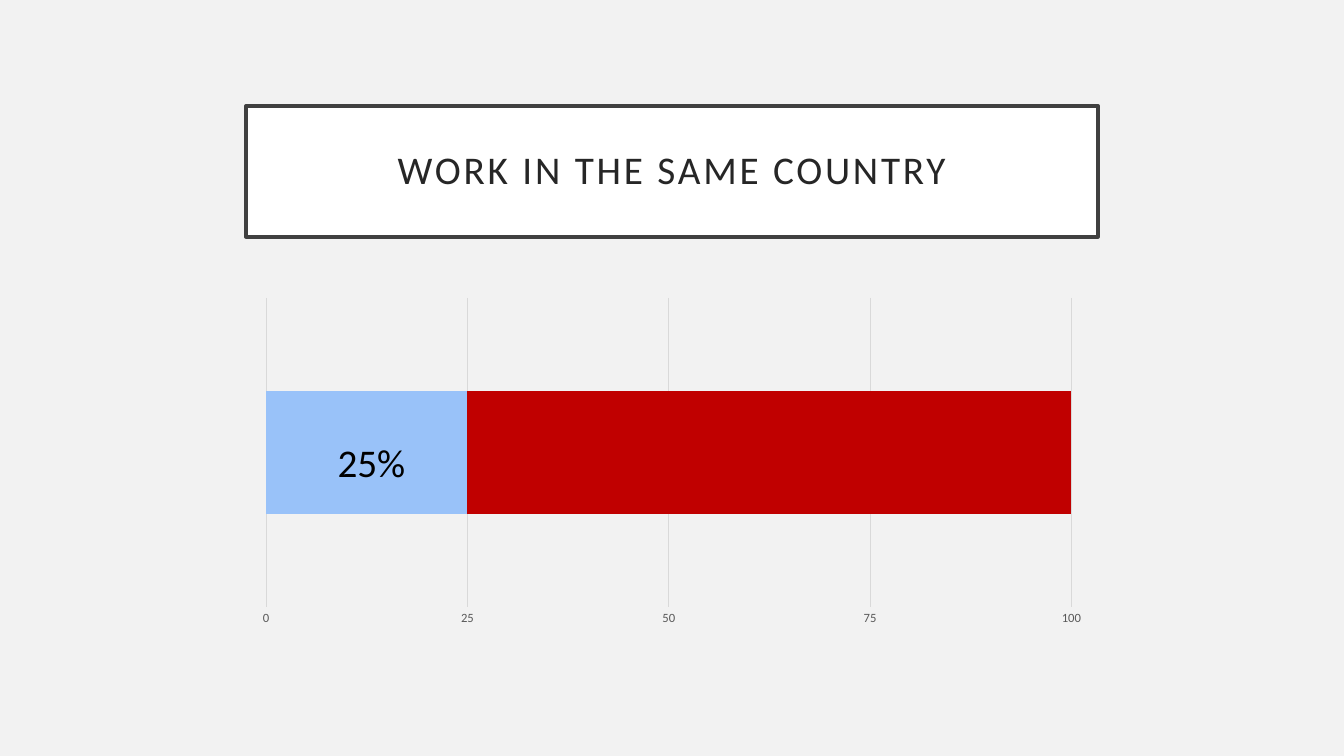
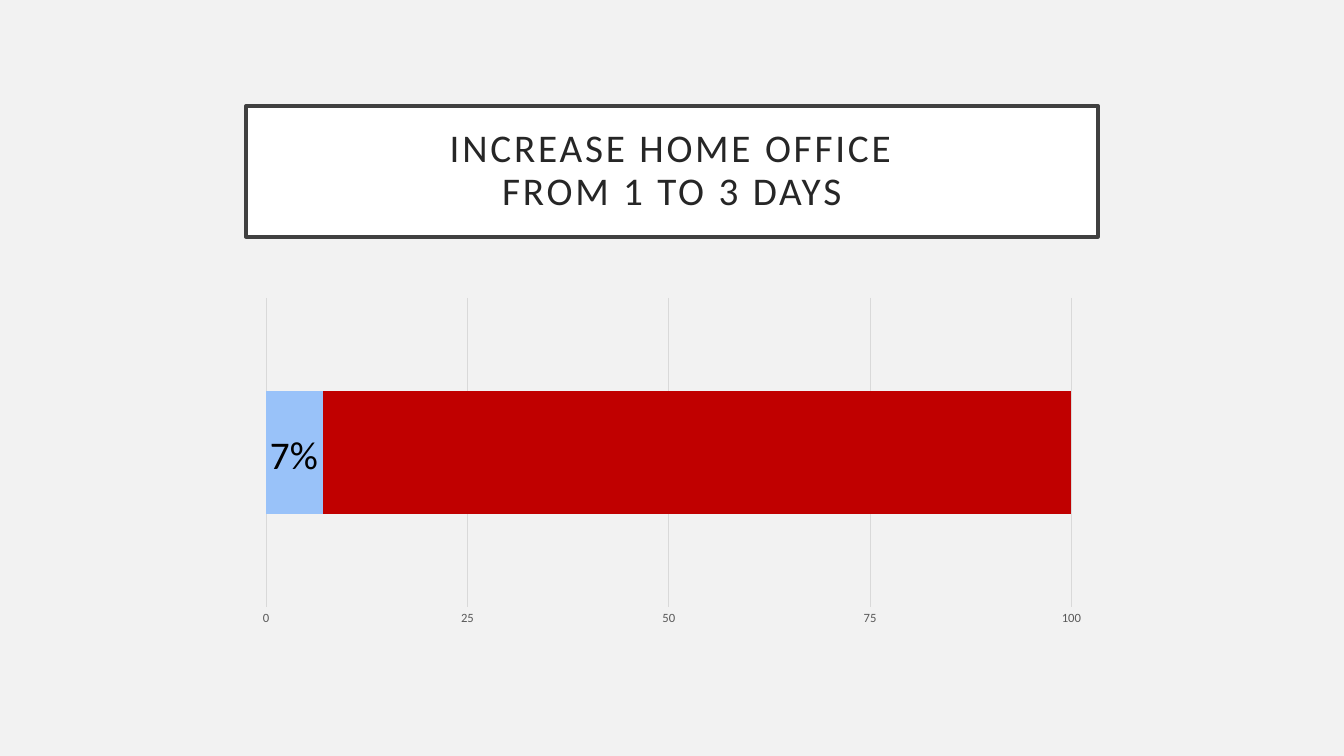
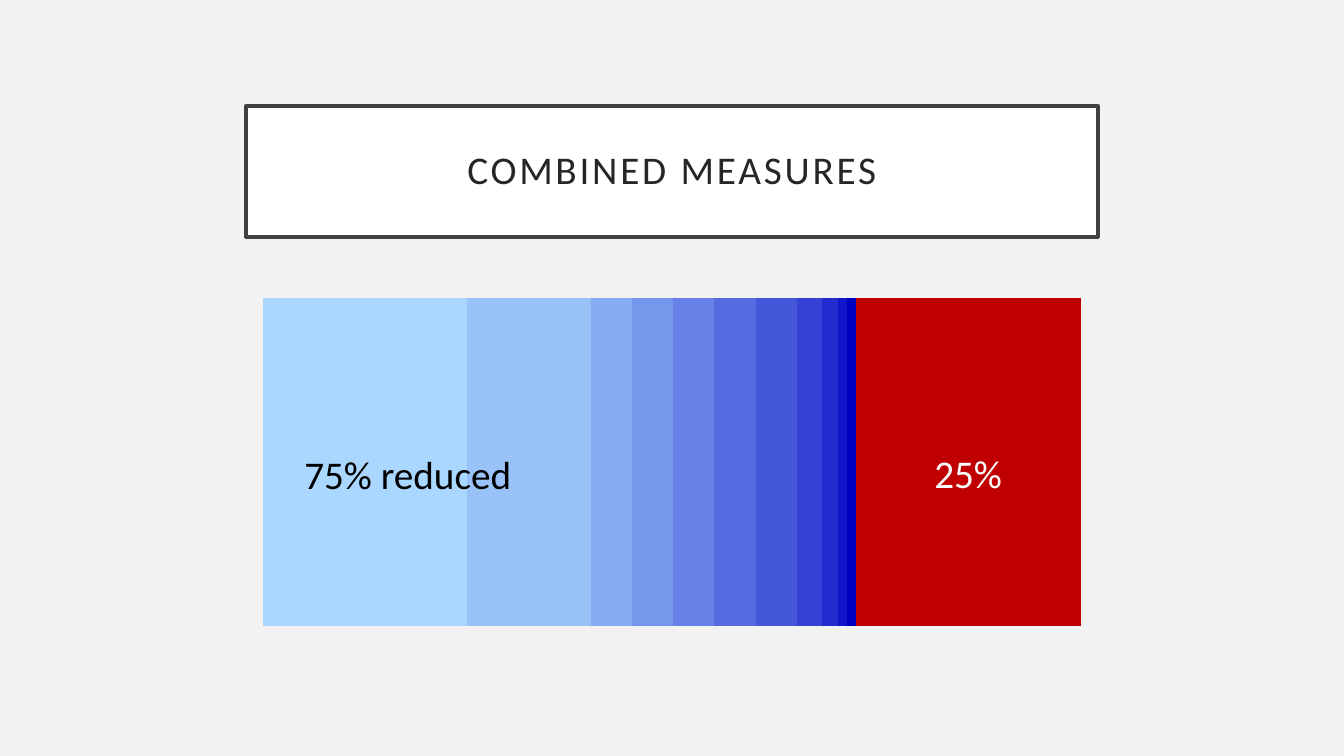
from dataclasses import dataclass

from pptx import Presentation
from pptx.chart.data import CategoryChartData
from pptx.dml.color import RGBColor
from pptx.enum.chart import XL_CHART_TYPE, XL_TICK_MARK
from pptx.enum.text import MSO_ANCHOR, MSO_AUTO_SIZE, PP_ALIGN
from pptx.util import Inches, Pt


@dataclass(frozen=True)
class Theme:
    font: str = "Calibri"
    page: RGBColor = RGBColor(0xF2, 0xF2, 0xF2)
    white: RGBColor = RGBColor(0xFF, 0xFF, 0xFF)
    black: RGBColor = RGBColor(0, 0, 0)
    frame: RGBColor = RGBColor(0x40, 0x40, 0x40)
    heading: RGBColor = RGBColor(0x26, 0x26, 0x26)
    scale: RGBColor = RGBColor(0x59, 0x59, 0x59)
    grid: RGBColor = RGBColor(0xD9, 0xD9, 0xD9)
    remaining: RGBColor = RGBColor(0xC0, 0, 0)
    lightest: RGBColor = RGBColor(0xAA, 0xD7, 0xFF)
    darkest: RGBColor = RGBColor(0, 0, 0xC2)
    large: Pt = Pt(28)
    chart_size: Pt = Pt(10)
    scale_size: Pt = Pt(9)


theme = Theme()
deck = Presentation()
deck.slide_width, deck.slide_height = Inches(13.33), Inches(7.5)


def area(left, top, width, height):
    """Turn percentages of the slide into left, top, width and height."""
    across, down = deck.slide_width / 100, deck.slide_height / 100
    return [round(n) for n in (left * across, top * down, width * across, height * down)]


def style(font, size, color):
    font.name, font.size, font.color.rgb = theme.font, size, color


# Eleven blues in equal steps, one for each measure
STEPS = 10
blues = [
    RGBColor(*(int(a + (b - a) * step / STEPS + 0.5)
               for a, b in zip(theme.lightest, theme.darkest)))
    for step in range(STEPS + 1)
]

# Shared places, in percent of the slide
TITLE_AREA = area(18.3, 14, 63.4, 17.33)
CHART_AREA = area(18.3, 38.5, 63.4, 45.2)
LABEL_WIDTH, LABEL_HEIGHT = 6.68, 7.6

# Heading, reductions, their blues, remainder, scale shown,
# labels (text, left, top, width, colour)
content = [
    ("WORK IN THE SAME COUNTRY", [25], blues[1:2], 75, True,
     [("25%", 24.38, 57.33, LABEL_WIDTH, theme.black)]),
    ("INCREASE HOME OFFICE\nFROM 1 TO 3 DAYS", [7], blues[1:2], 93, True,
     [("7%", 19.35, 56.27, LABEL_WIDTH, theme.black)]),
    ("COMBINED MEASURES", [89, 54, 18, 18, 18, 18, 18, 11, 7, 4, 4], blues, 100, False,
     [("25%", 68.78, 58.8, LABEL_WIDTH, theme.white),
      ("75% reduced", 21.9, 58.93, 35.25, theme.black)]),
]

# Shared background
title_only = deck.slide_layouts[5]
title_only.background.fill.solid()
title_only.background.fill.fore_color.rgb = theme.page

for heading, reductions, reduction_colors, remainder, show_scale, labels in content:
    slide = deck.slides.add_slide(title_only)

    # Framed title
    title = slide.shapes.title
    title.left, title.top, title.width, title.height = TITLE_AREA
    title.fill.solid()
    title.fill.fore_color.rgb = theme.white
    title.line.color.rgb = theme.frame
    title.line.width = Pt(2.5)
    frame = title.text_frame
    frame.auto_size = MSO_AUTO_SIZE.NONE
    frame.word_wrap = True
    frame.vertical_anchor = MSO_ANCHOR.MIDDLE
    frame.margin_left = frame.margin_right = Inches(0.2)
    frame.margin_top = frame.margin_bottom = Inches(0.2)
    line = frame.paragraphs[0]
    line.text = heading
    line.alignment = PP_ALIGN.CENTER
    line.line_spacing = 0.9
    for run in line.runs:
        style(run.font, theme.large, theme.heading)
        run._r.get_or_add_rPr().set("spc", "200")

    # Stacked bar: the reductions, then what remains
    values = [*reductions, remainder]
    data = CategoryChartData()
    data.categories = ["1"]
    for number, value in enumerate(values, start=1):
        data.add_series(f"Series {number}", [value])
    chart = slide.shapes.add_chart(XL_CHART_TYPE.BAR_STACKED, *CHART_AREA, data).chart
    chart.has_legend = False
    chart.has_title = False
    style(chart.font, theme.chart_size, theme.black)
    bar = chart.plots[0]
    bar.vary_by_categories = False
    bar.overlap = 100
    bar.gap_width = 150 if show_scale else 0
    for series, color in zip(bar.series, [*reduction_colors, theme.remaining]):
        series.format.fill.solid()
        series.format.fill.fore_color.rgb = color

    # Axes
    chart.category_axis.visible = False
    scale = chart.value_axis
    scale.minimum_scale, scale.maximum_scale = 0, sum(values)
    if not show_scale:
        # The total of the rounded shares is 359, the bar ends at 357
        scale.maximum_scale = 357
    scale.visible = show_scale
    scale.has_major_gridlines = show_scale
    if show_scale:
        scale.major_unit = 25
        scale.major_tick_mark = scale.minor_tick_mark = XL_TICK_MARK.NONE
        scale.format.line.fill.background()
        style(scale.tick_labels.font, theme.scale_size, theme.scale)
        scale.major_gridlines.format.line.color.rgb = theme.grid
        scale.major_gridlines.format.line.width = Pt(0.75)

    # Labels on the bar
    for text, left, top, width, color in labels:
        label = slide.shapes.add_textbox(*area(left, top, width, LABEL_HEIGHT)).text_frame
        label.word_wrap = True
        label.auto_size = MSO_AUTO_SIZE.SHAPE_TO_FIT_TEXT
        label.text = text
        style(label.paragraphs[0].runs[0].font, theme.large, color)

deck.save("out.pptx")
